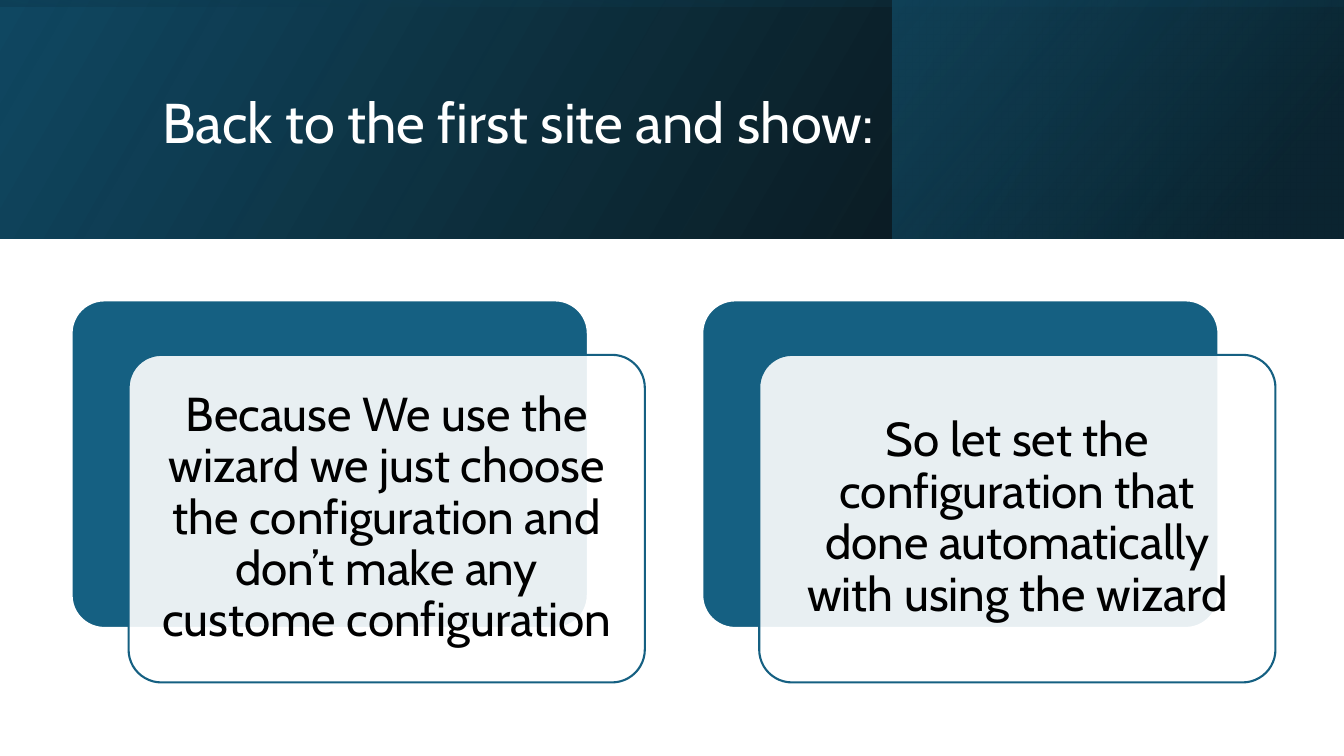
from dataclasses import dataclass

from lxml import etree
from pptx import Presentation
from pptx.dml.color import RGBColor
from pptx.enum.shapes import MSO_SHAPE
from pptx.enum.text import MSO_ANCHOR, PP_ALIGN
from pptx.oxml.ns import qn
from pptx.util import Inches, Pt

RECTANGLE = MSO_SHAPE.RECTANGLE
ROUNDED = MSO_SHAPE.ROUNDED_RECTANGLE
MIDDLE = MSO_ANCHOR.MIDDLE
LEFT, CENTER = PP_ALIGN.LEFT, PP_ALIGN.CENTER


@dataclass(frozen=True)
class Theme:
    font: str = "Cabin"
    title_size: int = 40
    card_size: int = 34
    white: str = "FFFFFF"
    black: str = "000000"
    teal: str = "156082"
    deep_teal: str = "104862"
    dark_teal: str = "0B3041"
    outline: float = 1.5


THEME = Theme()
SLIDE_WIDTH, SLIDE_HEIGHT = 13.33, 7.5
BAND_HEIGHT = 2.37
CARDS_BOX = (0.71, 2.98, 11.94, 3.79)
CARD_TEXTS = (
    "Because We use the wizard we just choose the configuration and "
    "don’t make any custome configuration",
    "So let set the configuration that done automatically with using the wizard",
)


def set_alpha(shape, percents):
    """Give each fill colour of the shape its opacity, in order."""
    for color, percent in zip(shape._element.spPr.iter(qn("a:srgbClr")), percents):
        etree.SubElement(color, qn("a:alpha")).set("val", str(percent * 1000))


def add_shape(slide, kind, box):
    shape = slide.shapes.add_shape(kind, *map(Inches, box))
    shape.shadow.inherit = False
    return shape


def add_gradient(slide, box, stops, angle, rotation=0):
    """Add a mirrored rectangle; stops are (position, colour, opacity)."""
    shape = add_shape(slide, RECTANGLE, box)
    shape.line.fill.background()
    shape.rotation = rotation
    shape._element.spPr.find(qn("a:xfrm")).set("flipH", "1")
    shape.fill.gradient()
    shape.fill.gradient_angle = 360 - angle
    for stop, (position, color, _) in zip(shape.fill.gradient_stops, stops):
        stop.position = position
        stop.color.rgb = RGBColor.from_string(color)
    set_alpha(shape, [opacity for _, _, opacity in stops])


def add_text(slide, box, text, size, color, alignment, inset):
    frame = slide.shapes.add_textbox(*map(Inches, box)).text_frame
    frame.word_wrap = True
    frame.vertical_anchor = MIDDLE
    frame.margin_left = frame.margin_right = Inches(inset)
    frame.margin_top = frame.margin_bottom = Inches(inset)
    frame.text = text
    paragraph = frame.paragraphs[0]
    paragraph.alignment = alignment
    paragraph.line_spacing = 0.9
    font = paragraph.runs[0].font
    font.name, font.size = THEME.font, Pt(size)
    font.color.rgb = RGBColor.from_string(color)


def add_header(slide, box):
    left, top, width, height = box
    # Base sweep across the band
    add_gradient(slide, box, [(0, THEME.black, 96), (1, THEME.deep_teal, 100)], 330)
    # Panel over the right third
    panel_width = 4.48
    add_gradient(slide, (left + width - panel_width, top, panel_width, height),
                 [(0.19, THEME.dark_teal, 68), (1, THEME.teal, 48)], 320)
    # Shade over the whole band, turned on its side about the centre
    shift = (width - height) / 2
    add_gradient(slide, (left + shift, top - shift, height, width),
                 [(0.23, THEME.deep_teal, 16), (0.99, THEME.black, 45)], 350, 270)
    # Title
    add_text(slide, (left + 1.51, top + 0.38, 10.63, 1.72),
             "Back to the first site and show:",
             THEME.title_size, THEME.white, LEFT, 0.1)


def add_panel(slide, box, fill, line):
    panel = add_shape(slide, ROUNDED, box)
    panel.adjustments[0] = 0.1
    panel.fill.solid()
    panel.fill.fore_color.rgb = RGBColor.from_string(fill)
    panel.line.color.rgb = RGBColor.from_string(line)
    panel.line.width = Pt(THEME.outline)
    return panel


def add_card(slide, box, text):
    left, top, width, height = box
    offset_x, offset_y, padding = 0.565, 0.54, 0.1
    panel_width, panel_height = width - offset_x, height - offset_y
    # Back panel
    add_panel(slide, (left, top, panel_width, panel_height), THEME.teal, THEME.white)
    # Translucent front panel
    front_left, front_top = left + offset_x, top + offset_y
    front = add_panel(slide, (front_left, front_top, panel_width, panel_height),
                      THEME.white, THEME.teal)
    set_alpha(front, [90])
    # Text
    add_text(slide, (front_left + padding, front_top + padding,
                     panel_width - 2 * padding, panel_height - 2 * padding),
             text, THEME.card_size, THEME.black, CENTER, 0.14)


def add_cards(slide, box, texts, gap=0.57):
    left, top, width, height = box
    card_width = (width - gap * (len(texts) - 1)) / len(texts)
    for column, text in enumerate(texts):
        card_left = left + column * (card_width + gap)
        add_card(slide, (card_left, top, card_width, height), text)


def main():
    presentation = Presentation()
    presentation.slide_width = Inches(SLIDE_WIDTH)
    presentation.slide_height = Inches(SLIDE_HEIGHT)
    slide = presentation.slides.add_slide(presentation.slide_layouts[6])
    add_header(slide, (0, 0, SLIDE_WIDTH, BAND_HEIGHT))
    add_cards(slide, CARDS_BOX, CARD_TEXTS)
    presentation.save("out.pptx")


if __name__ == "__main__":
    main()
